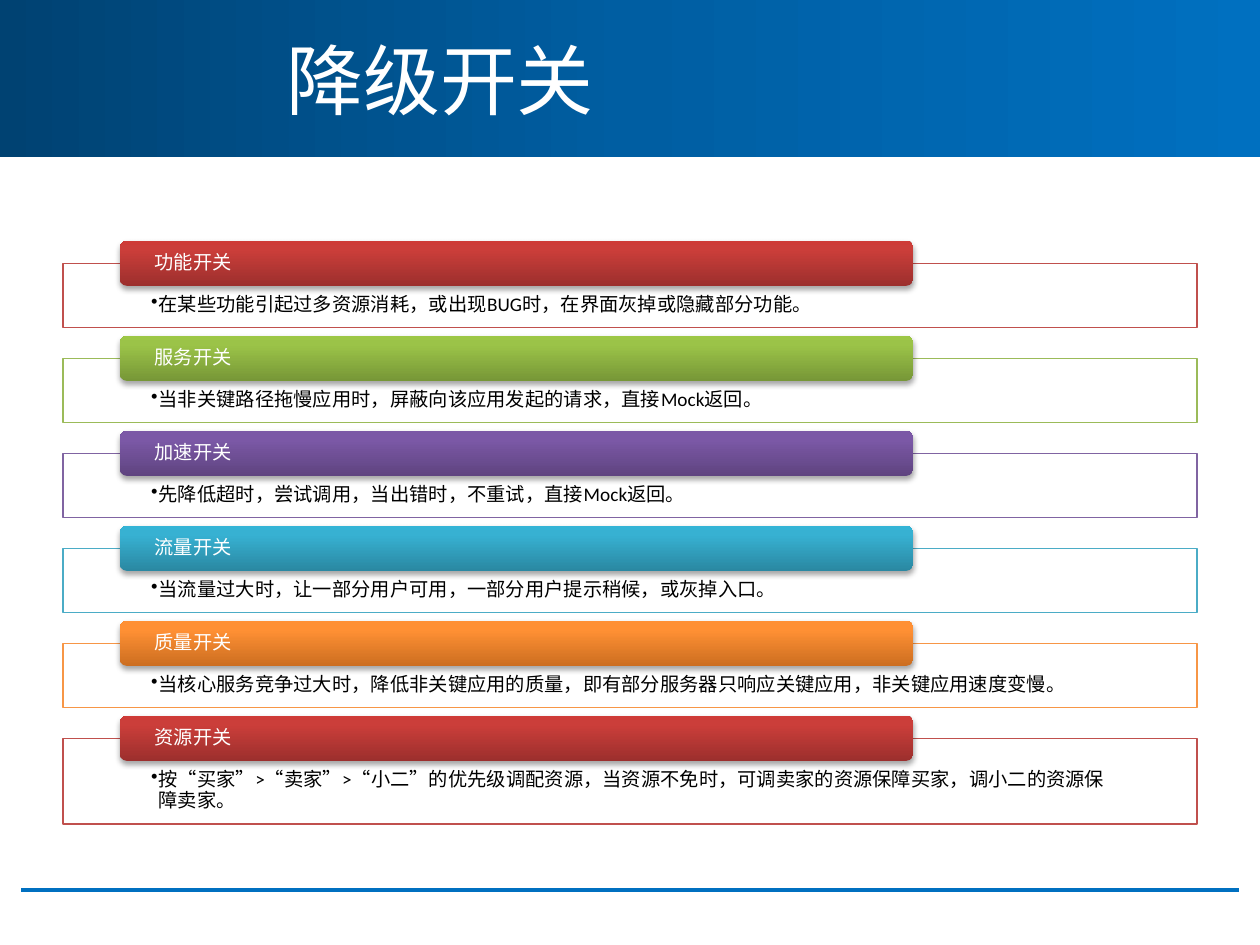
from copy import deepcopy

from pptx import Presentation
from pptx import util as u
from pptx.dml.color import RGBColor
from pptx.enum import shapes, text
from pptx.oxml import parse_xml
from pptx.oxml.ns import nsdecls, qn

WHITE = RGBColor(0xFF, 0xFF, 0xFF)
BLACK = RGBColor(0, 0, 0)
BLUE = RGBColor(0x00, 0x70, 0xC0)
BANNER = (RGBColor(0x00, 0x42, 0x72), RGBColor(0x00, 0x5E, 0xA2), BLUE)
RED = RGBColor(0xC0, 0x50, 0x4D)
RED_FADE = (RGBColor(0x9C, 0x2F, 0x2D), RGBColor(0xCB, 0x3E, 0x3A), RGBColor(0xCE, 0x3B, 0x37))
GREEN = RGBColor(0x9B, 0xBB, 0x59)
GREEN_FADE = (RGBColor(0x77, 0x97, 0x37), RGBColor(0x9B, 0xC3, 0x48), RGBColor(0x9D, 0xC7, 0x46))
PURPLE = RGBColor(0x80, 0x64, 0xA2)
PURPLE_FADE = (RGBColor(0x5F, 0x44, 0x80), RGBColor(0x7B, 0x58, 0xA6), RGBColor(0x7C, 0x57, 0xA8))
AQUA = RGBColor(0x4B, 0xAC, 0xC6)
AQUA_FADE = (RGBColor(0x2A, 0x88, 0xA2), RGBColor(0x37, 0xB1, 0xD2), RGBColor(0x34, 0xB4, 0xD6))
ORANGE = RGBColor(0xF7, 0x96, 0x46)
ORANGE_FADE = (RGBColor(0xCC, 0x6E, 0x20), RGBColor(0xFF, 0x90, 0x34), RGBColor(0xFF, 0x91, 0x36))

SWITCHES = [
    ("功能开关", "在某些功能引起过多资源消耗，或出现BUG时，在界面灰掉或隐藏部分功能。", RED, RED_FADE),
    ("服务开关", "当非关键路径拖慢应用时，屏蔽向该应用发起的请求，直接Mock返回。", GREEN, GREEN_FADE),
    ("加速开关", "先降低超时，尝试调用，当出错时，不重试，直接Mock返回。", PURPLE, PURPLE_FADE),
    ("流量开关", "当流量过大时，让一部分用户可用，一部分用户提示稍候，或灰掉入口。", AQUA, AQUA_FADE),
    ("质量开关", "当核心服务竞争过大时，降低非关键应用的质量，即有部分服务器只响应关键应用，非关键应用速度变慢。",
     ORANGE, ORANGE_FADE),
    ("资源开关", "按“买家”>“卖家”>“小二”的优先级调配资源，当资源不免时，可调卖家的资源保障买家，调小二的资源保障卖家。",
     RED, RED_FADE),
]
FIRST_TOP, LAST_TOP = 1.91, 5.68
PITCH = (LAST_TOP - FIRST_TOP) / (len(SWITCHES) - 1)


def write_text(shape, words, size=11, color=WHITE, anchor=text.MSO_ANCHOR.MIDDLE,
               insets=(0.1, 0.05, 0.1, 0.05), spacing=None, bullet=False):
    frame = shape.text_frame
    frame.word_wrap = True
    frame.auto_size = text.MSO_AUTO_SIZE.NONE
    frame.vertical_anchor = anchor
    frame.margin_left, frame.margin_top, frame.margin_right, frame.margin_bottom = map(u.Inches, insets)
    para = frame.paragraphs[0]
    para.alignment = text.PP_ALIGN.LEFT
    para.line_spacing = spacing
    if bullet:
        para.level = 1
        properties = para._p.get_or_add_pPr()
        properties.set("marL", str(u.Inches(0.06)))
        properties.set("indent", str(u.Inches(-0.06)))
        properties.append(parse_xml(f'<a:buChar {nsdecls("a")} char="•"/>'))
    span = para.add_run()
    span.text = words
    span.font.name = "Calibri"
    span.font.size = u.Pt(size)
    span.font.color.rgb = color


class SlideBuilder:
    def __init__(self, deck):
        self.page = deck.slides.add_slide(deck.slide_layouts[5])

    def shape(self, kind, left, top, width, height):
        shape = self.page.shapes.add_shape(kind, *map(u.Inches, (left, top, width, height)))
        shape.shadow.inherit = False
        shape.line.fill.background()
        return shape

    def gradient(self, shape, colors, positions, angle):
        shape.fill.gradient()
        shape.fill.gradient_angle = angle
        stops = shape.element.spPr.find(".//" + qn("a:gsLst"))
        stops.append(deepcopy(stops[-1]))
        for stop, color, position in zip(shape.fill.gradient_stops, colors, positions):
            stop.color.rgb = color
            stop.position = position

    def banner(self, words):
        band = self.shape(shapes.MSO_SHAPE.RECTANGLE, 0, 0, 10, 1.25)
        self.gradient(band, BANNER, (0, 0.5, 1), 0)
        title = self.page.shapes.title
        band.element.addnext(title.element)
        title.left, title.top = u.Inches(2.17), u.Inches(0)
        title.width, title.height = u.Inches(7.83), u.Inches(1.25)
        write_text(title, words, size=44)

    def rule(self, left, right, top):
        line = self.page.shapes.add_connector(
            shapes.MSO_CONNECTOR.STRAIGHT, *map(u.Inches, (left, top, right, top)))
        line.line.color.rgb = BLUE
        line.line.width = u.Pt(2.25)
        line.element.spPr.append(parse_xml(f'<a:effectLst {nsdecls("a")}/>'))

    def panel(self, words, top, height, color):
        panel = self.shape(shapes.MSO_SHAPE.RECTANGLE, 0.5, top, 9, height)
        panel.fill.solid()
        panel.fill.fore_color.rgb = WHITE
        fill_color = panel.element.spPr.find(qn("a:solidFill"))[0]
        fill_color.append(parse_xml(f'<a:alpha {nsdecls("a")} val="90000"/>'))
        panel.line.color.rgb = color
        panel.line.width = u.Pt(0.75)
        write_text(panel, words, color=BLACK, anchor=text.MSO_ANCHOR.TOP,
                   insets=(0.7, 0.25, 0.7, 0.09), spacing=0.9, bullet=True)

    def header(self, words, top, colors):
        header = self.shape(shapes.MSO_SHAPE.ROUNDED_RECTANGLE, 0.95, top, 6.3, 0.36)
        self.gradient(header, colors, (0, 0.8, 1), 90)
        header.element.spPr.find(qn("a:effectLst")).append(parse_xml(
            f'<a:outerShdw {nsdecls("a")} blurRad="{u.Pt(3.1)}" dist="{u.Pt(1.8)}" dir="5400000" '
            'rotWithShape="0"><a:srgbClr val="000000"><a:alpha val="35000"/></a:srgbClr></a:outerShdw>'))
        write_text(header, words, insets=(0.26, 0, 0.26, 0), spacing=0.9)


def main():
    deck = Presentation()
    deck.slide_width, deck.slide_height = u.Inches(10), u.Inches(7.5)
    builder = SlideBuilder(deck)
    builder.banner("降级开关")
    builder.rule(0.17, 9.83, 7.06)
    for row, (name, description, color, fade) in enumerate(SWITCHES):
        top = FIRST_TOP + row * PITCH
        height = 0.68 if row == len(SWITCHES) - 1 else 0.51
        builder.panel(description, top + 0.18, height, color)
        builder.header(name, top, fade)
    deck.save("out.pptx")


if __name__ == "__main__":
    main()
